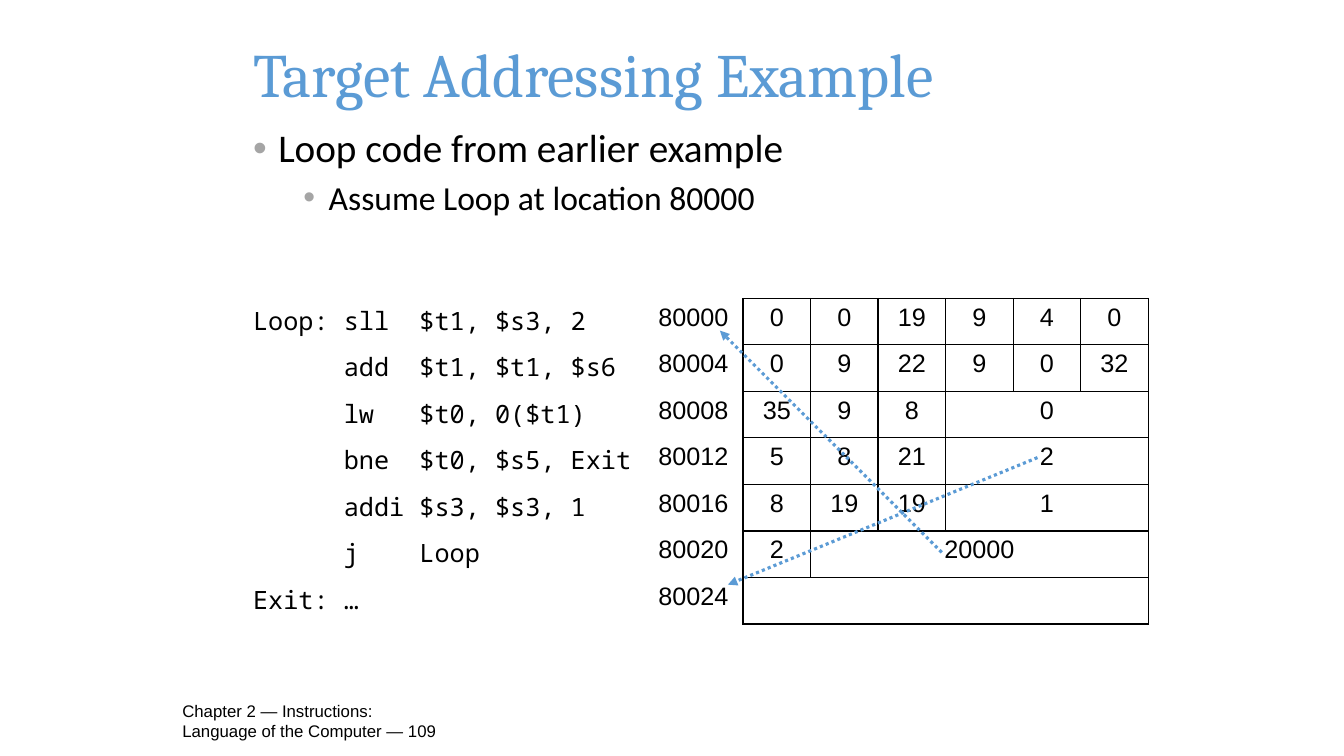
from dataclasses import dataclass

from lxml.etree import SubElement
from pptx import Presentation
from pptx.dml.color import RGBColor
from pptx.enum.dml import MSO_LINE
from pptx.enum.shapes import MSO_CONNECTOR
from pptx.enum.text import MSO_ANCHOR, MSO_AUTO_SIZE, PP_ALIGN
from pptx.oxml.ns import qn
from pptx.util import Inches, Pt


@dataclass(frozen=True)
class Theme:
    accent: str = "5B9BD5"
    bullet: str = "A5A5A5"
    ink: str = "000000"
    paper: str = "FFFFFF"
    title_size: int = 44
    body_sizes: tuple = (28, 24)
    table_size: int = 18
    footer_size: int = 12
    title_font: str = "Cambria"
    body_font: str = "Calibri"
    code_font: str = "Noto Sans Mono"
    label_font: str = "Arial"


theme = Theme()


def set_font(paragraph, name, size, color=theme.ink):
    paragraph.font.name = name
    paragraph.font.size = Pt(size)
    paragraph.font.color.rgb = RGBColor.from_string(color)


def set_borders(cell, left, right, top, bottom):
    properties = cell._tc.get_or_add_tcPr()
    for side, color in zip("LRTB", (left, right, top, bottom)):
        line = SubElement(properties, qn(f"a:ln{side}"), w=str(Pt(1)))
        fill = SubElement(line, qn("a:solidFill"))
        SubElement(fill, qn("a:srgbClr"), val=color)


presentation = Presentation()
presentation.slide_width = Inches(13.33)
presentation.slide_height = Inches(7.5)
slide = presentation.slides.add_slide(presentation.slide_layouts[1])

footer = slide.shapes.add_textbox(Inches(1.71), Inches(6.95), Inches(2.79), Inches(0.4))
footer.text_frame.word_wrap = True
footer.text_frame.vertical_anchor = MSO_ANCHOR.MIDDLE
footer.text_frame.text = "Chapter 2 — Instructions: Language of the Computer — 109"
set_font(footer.text_frame.paragraphs[0], theme.label_font, theme.footer_size)

title = slide.shapes.title
title.left, title.top, title.width, title.height = map(Inches, (2.41, 0.22, 9.88, 1.01))
title.text_frame.text = "Target Addressing Example"
title.text_frame.auto_size = MSO_AUTO_SIZE.NONE
title.text_frame.vertical_anchor = MSO_ANCHOR.MIDDLE
title.text_frame.paragraphs[0].alignment = PP_ALIGN.LEFT
set_font(title.text_frame.paragraphs[0], theme.title_font, theme.title_size, theme.accent)

body = slide.placeholders[1]
body.left, body.top, body.width, body.height = map(Inches, (2.41, 1.23, 9.05, 1.34))
body.text_frame.text = "Loop code from earlier example\nAssume Loop at location 80000"
body.text_frame.auto_size = MSO_AUTO_SIZE.NONE
for level, paragraph in enumerate(body.text_frame.paragraphs):
    paragraph.level = level
    paragraph.line_spacing = 0.9
    paragraph.space_before = Pt(7 * level)
    set_font(paragraph, theme.body_font, theme.body_sizes[level])
    properties = paragraph._p.get_or_add_pPr()
    properties.set("marL", str(Inches(0.25 + 0.5 * level)))
    properties.set("indent", str(Inches(-0.25)))
    bullet_color = SubElement(properties, qn("a:buClr"))
    SubElement(bullet_color, qn("a:srgbClr"), val=theme.bullet)
    SubElement(properties, qn("a:buFont"), typeface=theme.label_font)
    SubElement(properties, qn("a:buChar"), char="•")
    properties.append(properties.find(qn("a:defRPr")))

instructions = [
    ("Loop:", "sll", "$t1, $s3, 2", (0, 0, 19, 9, 4, 0)),
    ("", "add", "$t1, $t1, $s6", (0, 9, 22, 9, 0, 32)),
    ("", "lw", "$t0, 0($t1)", (35, 9, 8, 0)),
    ("", "bne", "$t0, $s5, Exit", (5, 8, 21, 2)),
    ("", "addi", "$s3, $s3, 1", (8, 19, 19, 1)),
    ("", "j", "Loop", (2, 20000)),
    ("Exit:", "…", "", ("",)),
]
column_widths = [4.02, 0.94] + [0.67] * 6
table = slide.shapes.add_table(
    len(instructions), len(column_widths),
    Inches(2.41), Inches(2.96), Inches(sum(column_widths)), Inches(3.23),
).table
table.first_row = False
table.horz_banding = False
for column, width in zip(table.columns, column_widths):
    column.width = Inches(width)

for row, (label, operation, operands, fields) in enumerate(instructions):
    code = f"{label:6}{operation:5}{operands}".rstrip()
    texts = [code, 80000 + 4 * row, *fields]
    for column in range(len(column_widths)):
        cell = table.cell(row, column)
        outer = theme.paper if column < 2 else theme.ink
        right = theme.paper if column == 0 else theme.ink
        set_borders(cell, outer, right, outer, outer)
        cell.fill.background()
        if column < len(texts):
            cell.text = str(texts[column])
        paragraph = cell.text_frame.paragraphs[0]
        paragraph.alignment = PP_ALIGN.LEFT if column < 2 else PP_ALIGN.CENTER
        set_font(paragraph, theme.label_font if column else theme.code_font, theme.table_size)
    last_field = len(texts) - 1
    if last_field < len(column_widths) - 1:
        table.cell(row, last_field).merge(table.cell(row, len(column_widths) - 1))

jump_arrows = [(9.34, 5.48, 7.14, 3.28), (10.29, 4.54, 7.22, 5.8)]
for ends in jump_arrows:
    arrow = slide.shapes.add_connector(MSO_CONNECTOR.STRAIGHT, *map(Inches, ends))
    arrow.line.color.rgb = RGBColor.from_string(theme.accent)
    arrow.line.width = Pt(2.25)
    arrow.line.dash_style = MSO_LINE.ROUND_DOT
    SubElement(arrow.line._get_or_add_ln(), qn("a:tailEnd"), type="triangle")
    SubElement(arrow._element.spPr, qn("a:effectLst"))

presentation.save("out.pptx")
